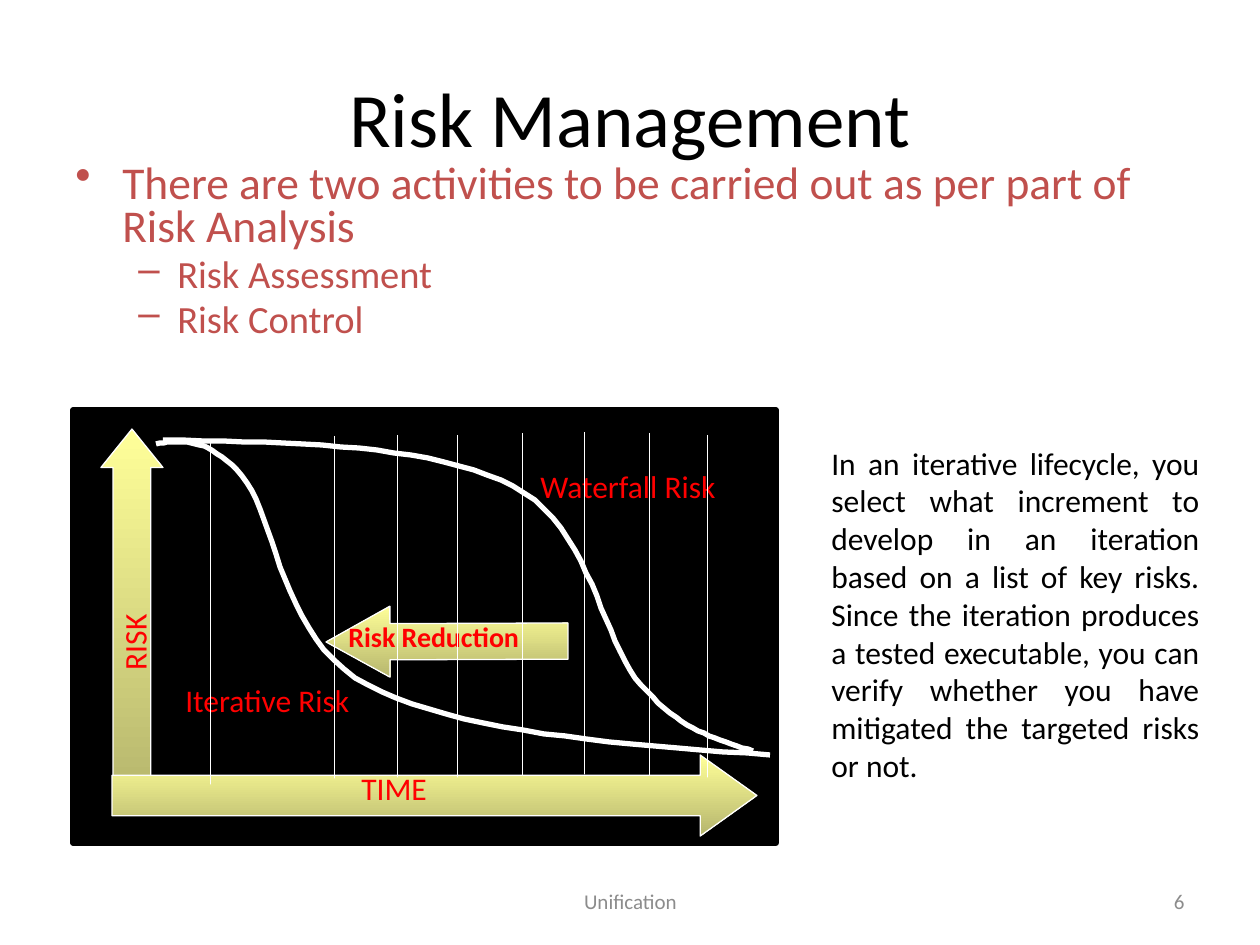
import lxml.etree
import pptx
import pptx.dml.color
import pptx.enum.dml
import pptx.enum.shapes
import pptx.enum.text
import pptx.oxml
import pptx.oxml.ns
import pptx.util

RGB = pptx.dml.color.RGBColor
SHAPE = pptx.enum.shapes.MSO_SHAPE
ALIGN = pptx.enum.text.PP_ALIGN
ANCHOR = pptx.enum.text.MSO_ANCHOR
BLACK = RGB(0x00, 0x00, 0x00)
WHITE = RGB(0xFF, 0xFF, 0xFF)
RED = RGB(0xFF, 0x00, 0x00)
BRICK = RGB(0xC0, 0x50, 0x4D)
GREY = RGB(0x8C, 0x8C, 0x8C)
YELLOW = RGB(0xFF, 0xFF, 0x99)
FONT = "Calibri"
SCALE = 914400 / 126  # EMU per px


def px(length):
    return pptx.util.Emu(round(length * SCALE))


def add_run(paragraph, text, size, color, bold=False):
    run = paragraph.add_run()
    run.text = text
    run.font.name = FONT
    run.font.size = pptx.util.Pt(size)
    run.font.bold = bold
    run.font.color.rgb = color


def add_text(shapes, box, text, size, color, align=ALIGN.LEFT, anchor=ANCHOR.TOP,
             bold=False, grow=False):
    textbox = shapes.add_textbox(*map(px, box))
    frame = textbox.text_frame
    frame.word_wrap = True
    frame.vertical_anchor = anchor
    if grow:
        frame.auto_size = pptx.enum.text.MSO_AUTO_SIZE.SHAPE_TO_FIT_TEXT
        frame.margin_top = frame.margin_bottom = pptx.util.Inches(0.1)
    frame.paragraphs[0].alignment = align
    add_run(frame.paragraphs[0], text, size, color, bold)
    return textbox


def add_bullets(shapes, box, items):
    frame = shapes.add_textbox(*map(px, box)).text_frame
    frame.word_wrap = True
    # level: text indent px, hanging px, bullet, size
    levels = [(47, 47, "•", 26), (102, 39, "–", 22)]
    for index, (level, text) in enumerate(items):
        indent, hanging, bullet, size = levels[level]
        paragraph = frame.add_paragraph() if index else frame.paragraphs[0]
        paragraph.level = level
        paragraph.line_spacing = 0.8
        paragraph.space_before = pptx.util.Pt(size * 0.2)
        properties = paragraph._p.get_or_add_pPr()
        properties.set("marL", str(px(indent)))
        properties.set("indent", str(-px(hanging)))
        mark = lxml.etree.SubElement(properties, pptx.oxml.ns.qn("a:buChar"))
        mark.set("char", bullet)
        add_run(paragraph, text, size, BRICK)


def add_block_arrow(shapes, box, adjustments, rotation=0):
    arrow = shapes.add_shape(SHAPE.RIGHT_ARROW, *map(px, box))
    arrow.shadow.inherit = False
    arrow.rotation = rotation
    for index, value in enumerate(adjustments):
        arrow.adjustments[index] = value
    arrow.fill.gradient()
    arrow.fill.gradient_angle = 270
    for stop, position in zip(arrow.fill.gradient_stops, (0, 1)):
        stop.color.rgb = YELLOW
        stop.position = position
    # The second stop is a darker shade; the gradient stays upright when turned
    gradient = arrow._element.spPr.find(pptx.oxml.ns.qn("a:gradFill"))
    gradient.set("rotWithShape", "0")
    dark = gradient.findall(".//" + pptx.oxml.ns.qn("a:srgbClr"))[1]
    lxml.etree.SubElement(dark, pptx.oxml.ns.qn("a:shade")).set("val", "46275")
    arrow.line.color.rgb = WHITE
    arrow.line.width = pptx.util.Pt(0.75)


def add_guide(shapes, x, top, height):
    guide = shapes.add_connector(pptx.enum.shapes.MSO_CONNECTOR.STRAIGHT,
                                 px(x), px(top), px(x), px(top + height))
    guide.line.color.rgb = WHITE
    guide.line.width = pptx.util.Pt(0.25)
    guide.line.dash_style = pptx.enum.dml.MSO_LINE.ROUND_DOT
    lxml.etree.SubElement(guide._element.spPr, pptx.oxml.ns.qn("a:effectLst"))


def bezier_points(controls, steps=20):
    """Points along joined cubic curves that share their end points."""
    points = [controls[0]]
    for first in range(0, len(controls) - 1, 3):
        segment = controls[first:first + 4]
        for step in range(1, steps + 1):
            t = step / steps
            weights = ((1 - t) ** 3, 3 * t * (1 - t) ** 2, 3 * t * t * (1 - t), t ** 3)
            points.append(tuple(sum(w * p[axis] for w, p in zip(weights, segment))
                                for axis in (0, 1)))
    return points


def add_curve(shapes, left, top, controls):
    points = [(left + x, top + y) for x, y in bezier_points(controls)]
    builder = shapes.build_freeform(*points[0], scale=SCALE)
    builder.add_line_segments(points[1:], close=False)
    curve = builder.convert_to_shape()
    curve.shadow.inherit = False
    curve.fill.background()
    curve.line.color.rgb = WHITE
    curve.line.width = pptx.util.Pt(3)


def add_risk_diagram(slide, box):
    left, top, width, height = box
    shapes = slide.shapes.add_group_shape().shapes

    def place(x, y, w, h):
        return left + x, top + y, w, h

    # Backdrop
    backdrop = shapes.add_shape(SHAPE.RECTANGLE, *map(px, place(0, 0, width, height)))
    backdrop.shadow.inherit = False
    backdrop.fill.solid()
    backdrop.fill.fore_color.rgb = BLACK
    backdrop.line.color.rgb = BLACK
    backdrop.line.width = pptx.util.Pt(3)

    # Arrows and their labels
    add_block_arrow(shapes, place(253, 196, 242, 71), (0.51, 0.9), 179.8)
    add_text(shapes, place(263, 197, 243, 59), "Risk Reduction", 16, RED,
             bold=True, grow=True)
    add_block_arrow(shapes, place(-125, 172, 368, 62), (0.61, 0.62), 270)
    add_block_arrow(shapes, place(39, 345, 645, 81), (0.5, 0.7))
    for text, label_box, rotation in [
        ("TIME", (276, 346, 116, 63), 0),
        ("RISK", (-14, 166, 150, 63), 270),
        ("Waterfall Risk", (455, 44, 238, 63), 0),
        ("Iterative Risk", (100, 258, 227, 63), 0),
    ]:
        add_text(shapes, place(*label_box), text, 18, RED, grow=True).rotation = rotation

    # Dotted time guides
    for x, y in [(137, 32), (261, 26), (324, 25), (384, 25),
                 (449, 23), (511, 22), (576, 23), (634, 25)]:
        add_guide(shapes, left + x, top + y, 342)

    # Risk curves
    iterative = [(83, 34), (108, 30), (134, 26), (169, 66), (204, 107),
                 (207, 230), (295, 275), (383, 322), (541, 334), (697, 345)]
    waterfall = [(90, 30), (226, 32), (360, 35), (440, 76), (519, 117),
                 (528, 231), (568, 275), (607, 320), (644, 330), (680, 341)]
    for controls in (iterative, waterfall):
        add_curve(shapes, left, top, controls)


def add_footer(slide, box):
    left, top, width, height = box
    add_text(slide.shapes, (left, top, 399, height), "Unification", 12, GREY,
             ALIGN.CENTER, ANCHOR.MIDDLE)
    add_text(slide.shapes, (left + width - 294, top, 294, height), "6", 12, GREY,
             ALIGN.RIGHT, ANCHOR.MIDDLE)


def main():
    presentation = pptx.Presentation()
    presentation.slide_width = px(1260)
    presentation.slide_height = px(945)
    slide = presentation.slides.add_slide(presentation.slide_layouts[6])

    add_footer(slide, (431, 876, 766, 50))
    add_text(slide.shapes, (63, 38, 1134, 158), "Risk Management", 44, BLACK,
             ALIGN.CENTER, ANCHOR.MIDDLE)
    add_bullets(slide.shapes, (63, 158, 1144, 210), [
        (0, "There are two activities to be carried out as per part of Risk Analysis"),
        (1, "Risk Assessment"),
        (1, "Risk Control"),
    ])
    add_risk_diagram(slide, (73, 410, 703, 433))
    add_text(slide.shapes, (819, 431, 393, 442),
             "In an iterative lifecycle, you select what increment to develop in an "
             "iteration based on a list of key risks. Since the iteration produces a "
             "tested executable, you can verify whether you have mitigated the "
             "targeted risks or not.", 18, BLACK, ALIGN.JUSTIFY, grow=True)
    presentation.save("out.pptx")


if __name__ == "__main__":
    main()
